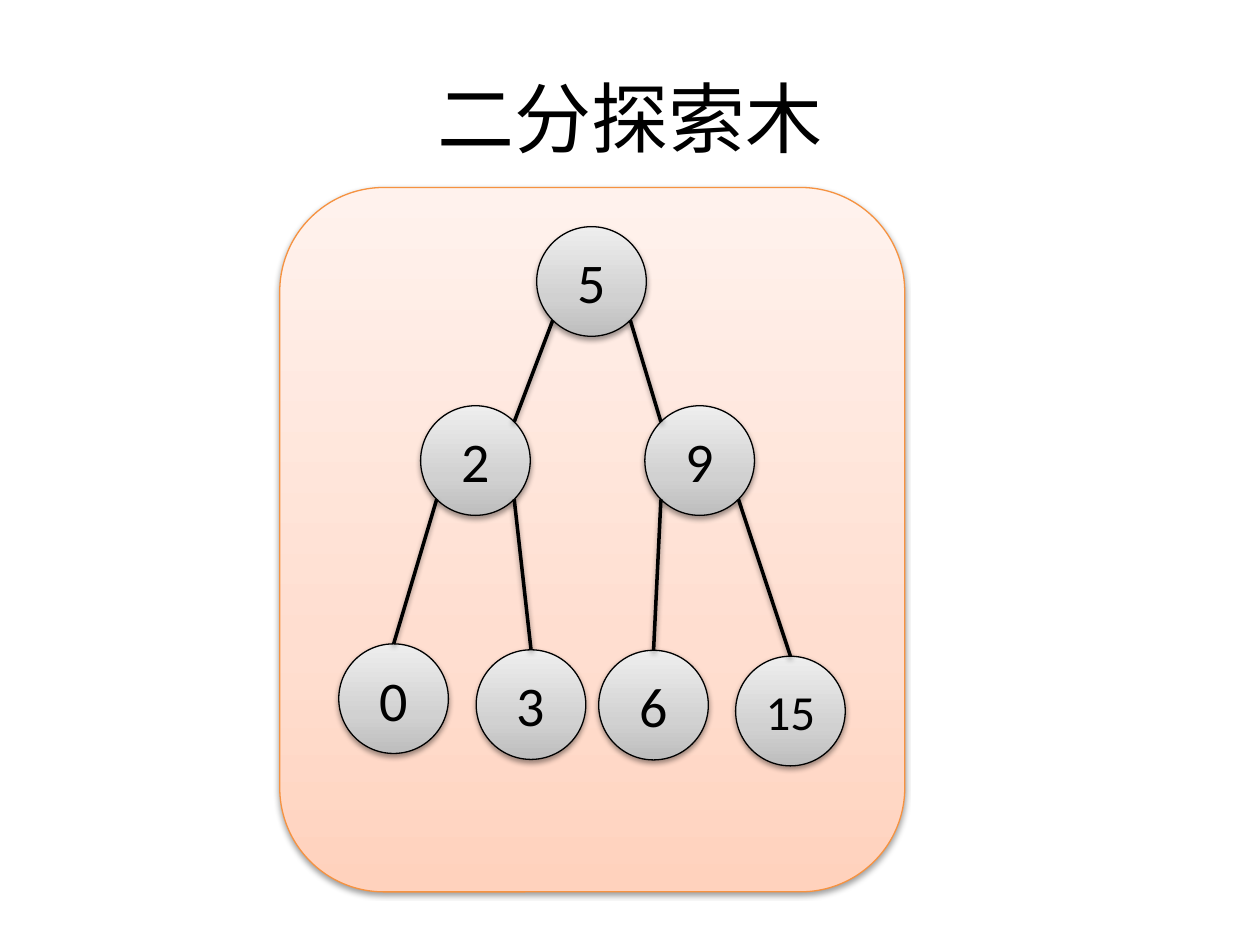
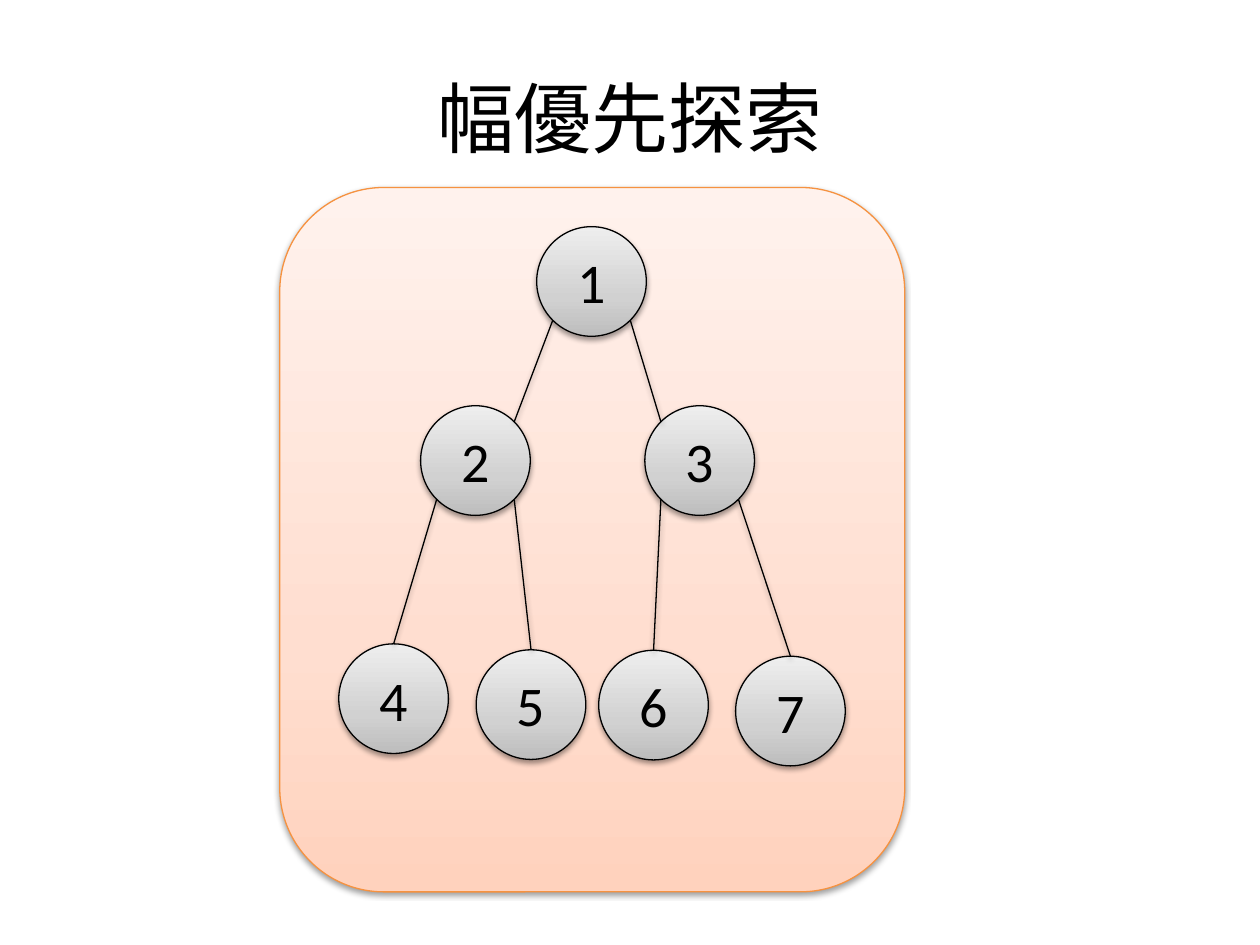
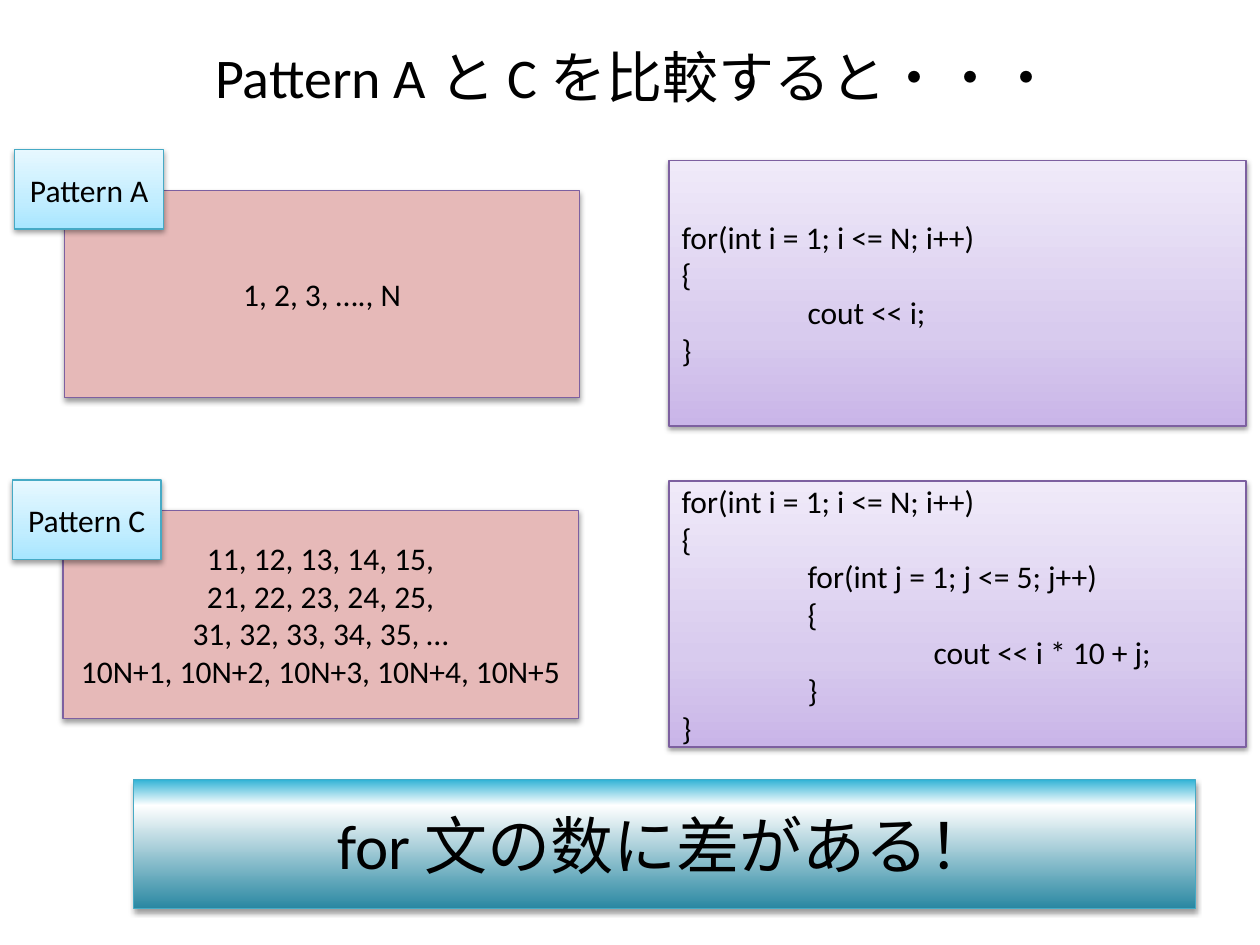
"""Build three slides on search trees and on counting nested for loops."""
from copy import deepcopy
from dataclasses import dataclass
from math import sqrt
from typing import NamedTuple, Union

from lxml.etree import SubElement
from pptx import Presentation
from pptx.dml.color import RGBColor
from pptx.enum.shapes import MSO_CONNECTOR, MSO_SHAPE
from pptx.enum.text import MSO_ANCHOR, PP_ALIGN
from pptx.oxml.ns import qn
from pptx.shapes.autoshape import Shape
from pptx.shapes.connector import Connector
from pptx.shapes.shapetree import GroupShapes, SlideShapes
from pptx.slide import Slide
from pptx.text.text import TextFrame
from pptx.util import Cm, Pt

Canvas = Union[SlideShapes, GroupShapes]


class Area(NamedTuple):
    left: float
    top: float
    width: float
    height: float


class Paint(NamedTuple):
    stops: tuple[tuple[float, str], ...]
    line: str


@dataclass(frozen=True)
class Theme:
    font: str = "Calibri"
    ink: str = "000000"
    title_size: float = 44
    heading_size: float = 32
    banner_size: float = 36
    node_size: float = 32
    wide_node_size: float = 28
    body_size: float = 18
    outline: float = 0.75
    bold_edge: float = 2
    panel: Paint = Paint(((0, "FFD2BD"), (0.35, "FFDED0"), (1, "FFF2ED")), "F69240")
    node: Paint = Paint(((0, "BDBDBD"), (0.35, "D1D1D1"), (1, "EEEEEE")), "000000")
    output: Paint = Paint(((0, "E6B9B8"),), "7D60A0")
    label: Paint = Paint(((0, "A7E6FF"), (0.35, "C1EDFF"), (1, "E7F8FF")), "46AAC5")
    code: Paint = Paint(((0, "C9B5E8"), (0.35, "D8CBEE"), (1, "F0EAF9")), "7D60A0")
    banner: Paint = Paint(((0, "2A88A2"), (0.8, "FFFFFF"), (1, "34B4D6")), "46AAC5")


@dataclass(frozen=True)
class Tree:
    title: str
    values: tuple[str, ...]
    edge_width: float


@dataclass(frozen=True)
class Pattern:
    name: str
    output: str
    code: str
    output_area: Area
    label_area: Area
    code_top: float


THEME = Theme()
TITLE_AREA = Area(1.27, 0.76, 22.86, 3.18)
PANEL_AREA = Area(5.64, 3.78, 12.6, 14.2)
HEADING_AREA = Area(4.09, 0.74, 19.63, 1.68)
BANNER_AREA = Area(2.69, 15.72, 21.41, 2.59)
NODE_DIAMETER = 2.21
NODE_CORNERS = ((10.82, 4.57), (8.48, 8.18), (13, 8.18),
                (6.83, 12.98), (9.6, 13.1), (12.07, 13.11), (14.83, 13.23))
FIRST_LEAF = 3
TAB_STOPS = (2.54, 5.08)

TREES = (
    Tree("二分探索木", ("5", "2", "9", "0", "3", "6", "15"), THEME.bold_edge),
    Tree("幅優先探索", ("1", "2", "3", "4", "5", "6", "7"), THEME.outline),
)

PATTERNS = (
    Pattern(
        "Pattern A",
        "1, 2, 3, …., N",
        "for(int i = 1; i <= N; i++)\n{\n\tcout << i;\n}",
        Area(1.3, 3.84, 10.39, 4.17), Area(0.3, 3.02, 3, 1.6), 3.23),
    Pattern(
        "Pattern C",
        "11, 12, 13, 14, 15,\n21, 22, 23, 24, 25,\n31, 32, 33, 34, 35, …\n"
        "10N+1, 10N+2, 10N+3, 10N+4, 10N+5",
        "for(int i = 1; i <= N; i++)\n{\n\tfor(int j = 1; j <= 5; j++)\n\t{\n"
        "\t\tcout << i * 10 + j;\n\t}\n}",
        Area(1.27, 10.29, 10.39, 4.19), Area(0.25, 9.68, 3, 1.6), 9.7),
)


def lengths(area: Area) -> tuple[Cm, ...]:
    """Turn an area in centimetres into lengths."""
    return tuple(Cm(value) for value in area)


def write(frame: TextFrame, text: str, size: float,
          align: PP_ALIGN = PP_ALIGN.CENTER,
          anchor: MSO_ANCHOR = MSO_ANCHOR.MIDDLE) -> None:
    """Fill a text frame and format all its runs."""
    frame.text = text
    frame.word_wrap = True
    frame.vertical_anchor = anchor
    for para in frame.paragraphs:
        para.alignment = align
        for span in para.runs:
            span.font.name = THEME.font
            span.font.size = Pt(size)
            span.font.color.rgb = RGBColor.from_string(THEME.ink)


def add_text(page: Slide, area: Area, text: str, size: float,
             align: PP_ALIGN, anchor: MSO_ANCHOR) -> None:
    """Place a plain text box."""
    box = page.shapes.add_textbox(*lengths(area))
    write(box.text_frame, text, size, align, anchor)


def set_line(item: Union[Shape, Connector], color: str, width: float) -> None:
    """Set the colour and the width of a line."""
    item.line.color.rgb = RGBColor.from_string(color)
    item.line.width = Pt(width)


def cast_shadow(item: Union[Shape, Connector]) -> None:
    """Give an item the soft shadow that falls straight down."""
    properties = item.element.spPr
    effects = properties.find(qn("a:effectLst"))
    if effects is None:
        effects = SubElement(properties, qn("a:effectLst"))
    shadow = SubElement(effects, qn("a:outerShdw"), blurRad="40000", dist="20000",
                        dir="5400000", rotWithShape="0")
    color = SubElement(shadow, qn("a:srgbClr"), val="000000")
    SubElement(color, qn("a:alpha"), val="38000")


def fill_shape(shape: Shape, paint: Paint) -> None:
    """Fill a shape with one colour or with a gradient rising from its bottom."""
    if len(paint.stops) == 1:
        shape.fill.solid()
        shape.fill.fore_color.rgb = RGBColor.from_string(paint.stops[0][1])
        return
    shape.fill.gradient()
    shape.fill.gradient_angle = 90
    stop_list = shape.element.spPr.find(f".//{qn('a:gsLst')}")
    while len(stop_list) < len(paint.stops):
        stop_list.append(deepcopy(stop_list[0]))
    for stop, (position, color) in zip(shape.fill.gradient_stops, paint.stops):
        stop.position = position
        stop.color.rgb = RGBColor.from_string(color)


def add_block(canvas: Canvas, area: Area, paint: Paint, text: str = "",
              size: float = THEME.body_size, align: PP_ALIGN = PP_ALIGN.CENTER,
              kind: MSO_SHAPE = MSO_SHAPE.RECTANGLE) -> Shape:
    """Draw a filled, outlined and shadowed shape with its text."""
    shape = canvas.add_shape(kind, *lengths(area))
    shape.shadow.inherit = False
    fill_shape(shape, paint)
    set_line(shape, paint.line, THEME.outline)
    cast_shadow(shape)
    if text:
        write(shape.text_frame, text, size, align)
    return shape


def diagonal_point(index: int, side: int, level: int) -> tuple[float, float]:
    """Find the point of a node's rim at 45 degrees, to a side and up or down."""
    left, top = NODE_CORNERS[index]
    radius = NODE_DIAMETER / 2
    reach = radius / sqrt(2)
    return left + radius + side * reach, top + radius + level * reach


def add_edge(page: Slide, nodes: list[Shape], child: int, width: float) -> None:
    """Draw the line from a node's parent to the node."""
    side = -1 if child % 2 else 1
    start = diagonal_point((child - 1) // 2, side, 1)
    end = diagonal_point(child, -side, -1)
    edge = page.shapes.add_connector(
        MSO_CONNECTOR.STRAIGHT, *(Cm(value) for value in start + end))
    if child >= FIRST_LEAF:
        edge.end_connect(nodes[child], 0)
    set_line(edge, THEME.ink, width)
    cast_shadow(edge)


def draw_tree(page: Slide, tree: Tree) -> None:
    """Draw a titled binary tree on its panel."""
    add_text(page, TITLE_AREA, tree.title, THEME.title_size,
             PP_ALIGN.CENTER, MSO_ANCHOR.MIDDLE)
    add_block(page.shapes, PANEL_AREA, THEME.panel, kind=MSO_SHAPE.ROUNDED_RECTANGLE)
    nodes = []
    for corner, value in zip(NODE_CORNERS, tree.values):
        size = THEME.node_size if len(value) == 1 else THEME.wide_node_size
        area = Area(*corner, NODE_DIAMETER, NODE_DIAMETER)
        nodes.append(add_block(page.shapes, area, THEME.node, value, size,
                               kind=MSO_SHAPE.OVAL))
    for child in range(1, len(nodes)):
        add_edge(page, nodes, child, tree.edge_width)


def set_tabs(frame: TextFrame) -> None:
    """Give every paragraph the tab stops of code."""
    for para in frame.paragraphs:
        tabs = SubElement(para._p.get_or_add_pPr(), qn("a:tabLst"))
        for stop in TAB_STOPS:
            SubElement(tabs, qn("a:tab"), pos=str(Cm(stop)), algn="l")


def draw_pattern(page: Slide, pattern: Pattern) -> None:
    """Draw a pattern's labelled output and its code."""
    group = page.shapes.add_group_shape()
    add_block(group.shapes, pattern.output_area, THEME.output, pattern.output)
    add_block(group.shapes, pattern.label_area, THEME.label, pattern.name)
    code_area = Area(13.49, pattern.code_top, 11.63, 5.36)
    code = add_block(page.shapes, code_area, THEME.code, pattern.code,
                     align=PP_ALIGN.LEFT)
    set_tabs(code.text_frame)


def draw_comparison(page: Slide) -> None:
    """Draw the two patterns and the conclusion."""
    add_text(page, HEADING_AREA, "Pattern A と C を比較すると・・・",
             THEME.heading_size, PP_ALIGN.LEFT, MSO_ANCHOR.TOP)
    for pattern in PATTERNS:
        draw_pattern(page, pattern)
    add_block(page.shapes, BANNER_AREA, THEME.banner, "for 文の数に差がある！",
              THEME.banner_size)


def main() -> None:
    """Build and save the deck."""
    deck = Presentation()
    deck.slide_width, deck.slide_height = Cm(25.4), Cm(19.05)
    blank = deck.slide_layouts[6]
    for tree in TREES:
        draw_tree(deck.slides.add_slide(blank), tree)
    draw_comparison(deck.slides.add_slide(blank))
    deck.save("out.pptx")


if __name__ == "__main__":
    main()
